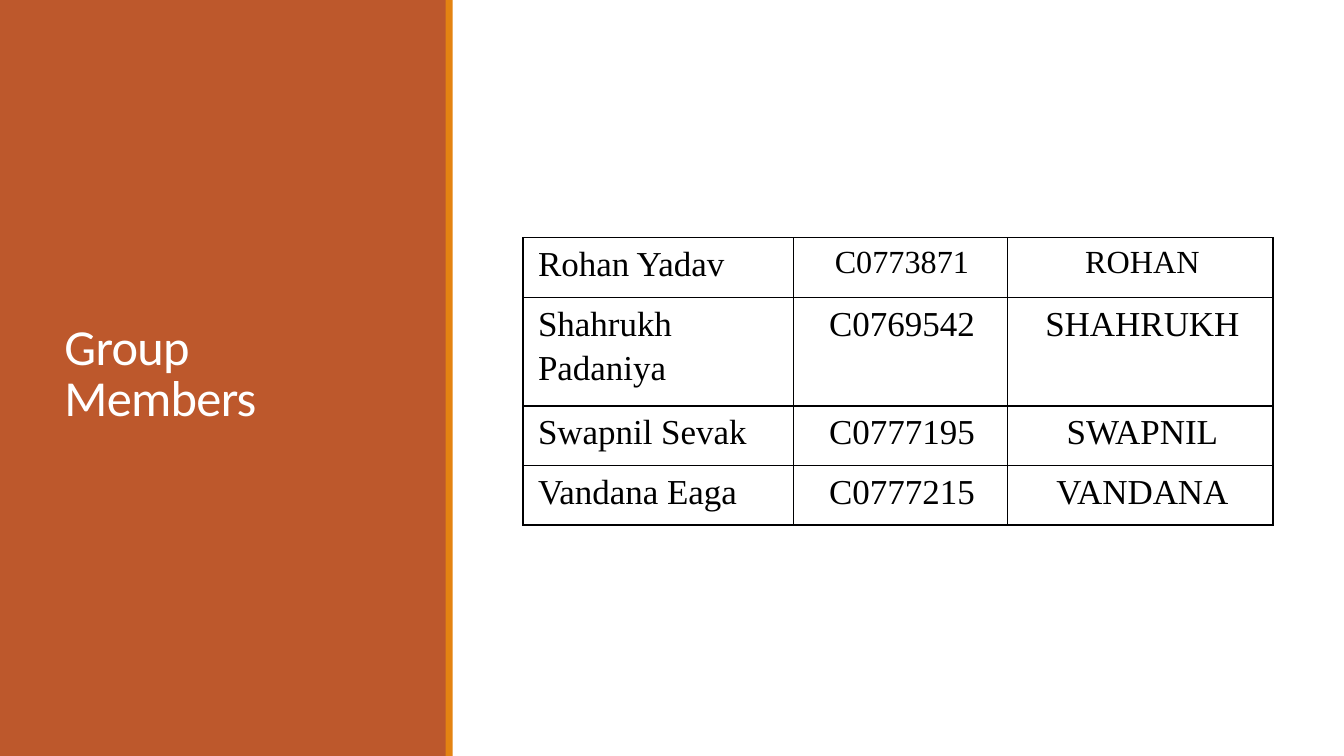
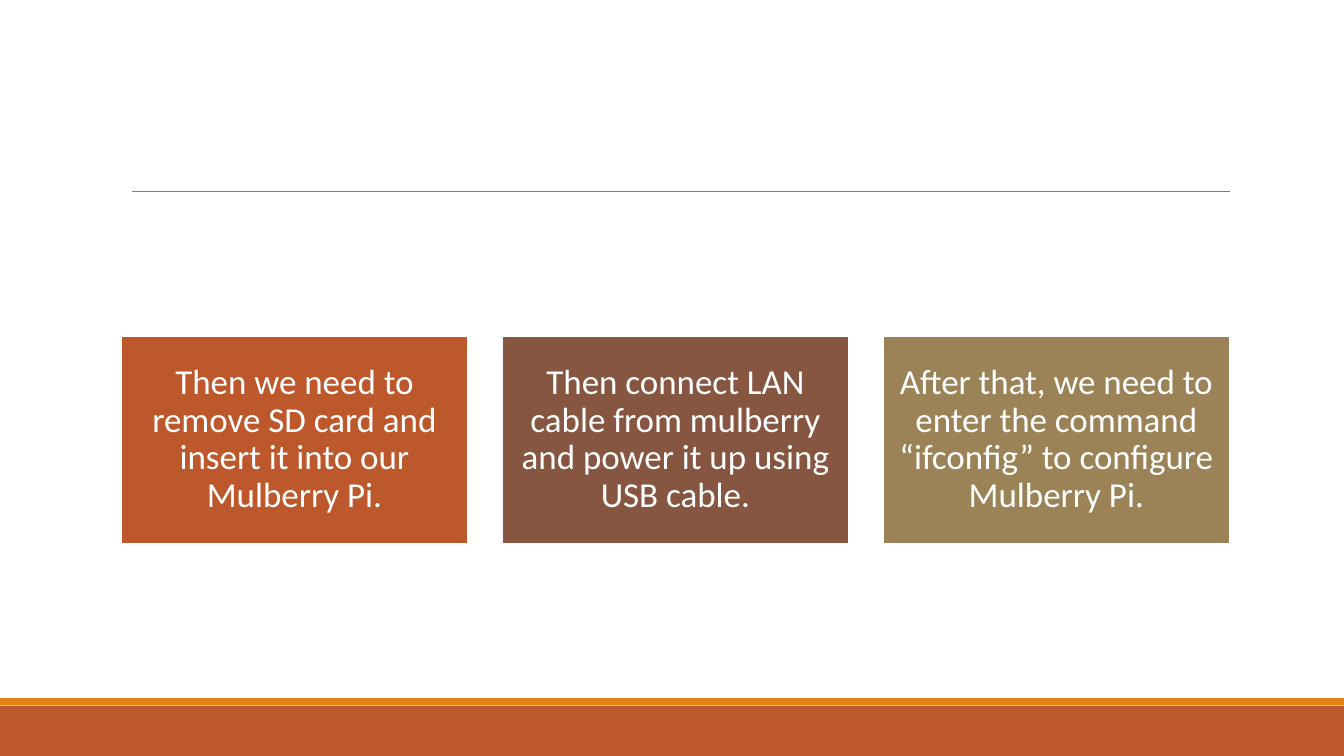
import pptx
import pptx.util
import pptx.dml.color
import pptx.enum.shapes
import pptx.enum.text
import pptx.oxml
import pptx.oxml.ns
import lxml.etree

Cm, Pt = pptx.util.Cm, pptx.util.Pt
RGB = pptx.dml.color.RGBColor.from_string
ALIGN = pptx.enum.text.PP_ALIGN
MIDDLE = pptx.enum.text.MSO_ANCHOR.MIDDLE
qn = pptx.oxml.ns.qn

COLORS = {
    "rust": "BD582C", "orange": "E48312", "brown": "865640", "olive": "9B8357",
    "white": "FFFFFF", "black": "000000", "rule": "808080", "border": "000001",
}
BODY_FONT, TABLE_FONT = "Calibri", "Times New Roman"
WIDTH, HEIGHT = 33.87, 19.05
STRIPE = 0.18


def add_block(slide, left, top, width, height, color):
    block = slide.shapes.add_shape(
        pptx.enum.shapes.MSO_SHAPE.RECTANGLE, Cm(left), Cm(top), Cm(width), Cm(height))
    block.shadow.inherit = False
    block.fill.solid()
    block.fill.fore_color.rgb = RGB(COLORS[color])
    block.line.fill.background()
    return block


def style_text(paragraph, font, size, color, align, spacing):
    paragraph.font.name = font
    paragraph.font.size = Pt(size)
    paragraph.font.color.rgb = RGB(COLORS[color])
    paragraph.alignment = align
    paragraph.line_spacing = spacing


prs = pptx.Presentation()
prs.slide_width, prs.slide_height = Cm(WIDTH), Cm(HEIGHT)

# Slide 1: side panel with title
members_slide = prs.slides.add_slide(prs.slide_layouts[5])
add_block(members_slide, 0, 0, 11.25, HEIGHT, "rust")
add_block(members_slide, 11.23, 0, STRIPE, HEIGHT, "orange")

title = members_slide.shapes.title
title.left, title.top, title.width, title.height = Cm(1.37), Cm(1.45), Cm(8.4), Cm(16.03)
members_slide.shapes._spTree.append(title._element)  # bring in front of the panel
title.text_frame.text = "Group Members"
title.text_frame.word_wrap = True
title.text_frame.auto_size = pptx.enum.text.MSO_AUTO_SIZE.NONE
title.text_frame.vertical_anchor = MIDDLE
heading = title.text_frame.paragraphs[0]
style_text(heading, BODY_FONT, 36, "white", ALIGN.LEFT, 0.85)
heading.runs[0]._r.get_or_add_rPr().set("spc", "-50")

# Slide 1: member table
members = [
    ("Rohan Yadav", "C0773871", "ROHAN"),
    ("Shahrukh Padaniya", "C0769542", "SHAHRUKH"),
    ("Swapnil Sevak", "C0777195", "SWAPNIL"),
    ("Vandana Eaga", "C0777215", "VANDANA"),
]
column_widths = [6.81, 5.41, 6.68]
row_heights = [1.5, 2.74, 1.5, 1.5]
column_indents = [0, 0.1, 0.13]

member_table = members_slide.shapes.add_table(
    len(members), len(column_widths), Cm(13.18), Cm(5.99),
    Cm(sum(column_widths)), Cm(sum(row_heights))).table
member_table.first_row = False
member_table.horz_banding = False
for column, width in zip(member_table.columns, column_widths):
    column.width = Cm(width)

for r, member in enumerate(members):
    member_table.rows[r].height = Cm(row_heights[r])
    for c, value in enumerate(member):
        cell = member_table.cell(r, c)
        cell.text = value
        cell.margin_left, cell.margin_right = Cm(0.38), Cm(0.41)
        cell.margin_top, cell.margin_bottom = Cm(0.05), Cm(0)
        entry = cell.text_frame.paragraphs[0]
        size = 23 if r == 0 and c > 0 else 25
        style_text(entry, TABLE_FONT, size, "black", ALIGN.CENTER if c else ALIGN.LEFT, 1.15)
        entry._p.get_or_add_pPr().set("marL", str(Cm(column_indents[c])))
        # Borders come before the fill in the cell properties
        cell_props = cell._tc.get_or_add_tcPr()
        for side in ("a:lnL", "a:lnR", "a:lnT", "a:lnB"):
            border = lxml.etree.SubElement(cell_props, qn(side), w=str(Pt(1)))
            border_fill = lxml.etree.SubElement(border, qn("a:solidFill"))
            lxml.etree.SubElement(border_fill, qn("a:srgbClr"), val=COLORS["border"])
        cell.fill.background()

# Slide 2: bottom bands and rule
steps_slide = prs.slides.add_slide(prs.slide_layouts[6])
add_block(steps_slide, 0, 17.78, WIDTH, 1.27, "rust")
add_block(steps_slide, 0, 17.59, WIDTH, STRIPE, "orange")

rule = steps_slide.shapes.add_connector(
    pptx.enum.shapes.MSO_CONNECTOR.STRAIGHT, Cm(3.33), Cm(4.82), Cm(31), Cm(4.82))
rule.line.color.rgb = RGB(COLORS["rule"])
rule.line.width = Pt(0.5)
lxml.etree.SubElement(rule._element.spPr, qn("a:effectLst"))

# Slide 2: three steps
steps = [
    ("rust", "Then we need to remove SD card and insert it into our Mulberry Pi."),
    ("brown", "Then connect LAN cable from mulberry and power it up using USB cable."),
    ("olive", "After that, we need to enter the command “ifconfig” to configure Mulberry Pi."),
]
step_width, step_gap = 8.74, 0.86
for i, (color, instruction) in enumerate(steps):
    step = add_block(steps_slide, 3.05 + i * (step_width + step_gap), 8.46,
                     step_width, 5.24, color)
    step.line.color.rgb = RGB(COLORS["white"])
    step.line.width = Pt(1.25)
    frame = step.text_frame
    frame.text = instruction
    frame.word_wrap = True
    frame.vertical_anchor = MIDDLE
    frame.margin_left = frame.margin_right = Cm(0.25)
    frame.margin_top = frame.margin_bottom = Cm(0.25)
    style_text(frame.paragraphs[0], BODY_FONT, 25, "white", ALIGN.CENTER, 0.9)

prs.save("out.pptx")
